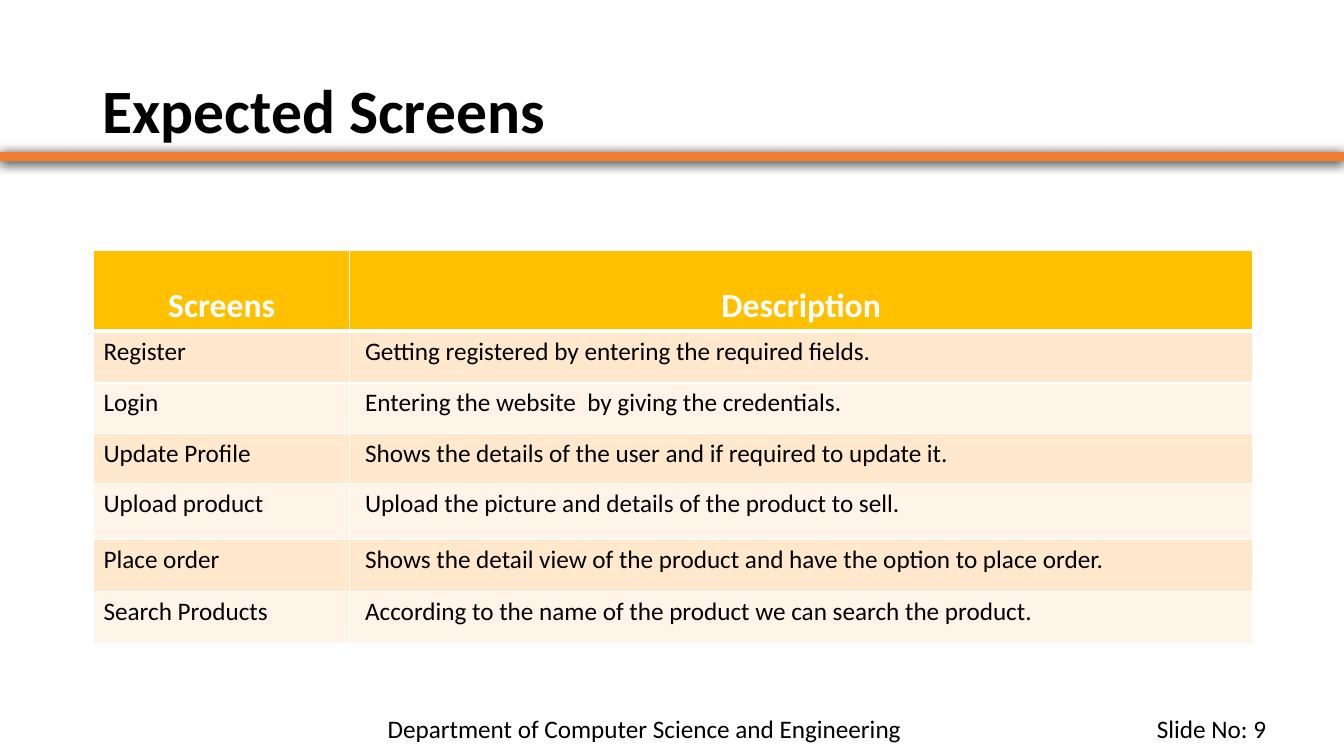
from lxml.etree import SubElement
from pptx import Presentation
from pptx.dml.color import RGBColor
from pptx.enum.shapes import MSO_SHAPE
from pptx.enum.text import MSO_ANCHOR, PP_ALIGN
from pptx.oxml.ns import qn
from pptx.util import Cm, Pt

BLACK = RGBColor(0x00, 0x00, 0x00)
WHITE = RGBColor(0xFF, 0xFF, 0xFF)
ORANGE = RGBColor(0xED, 0x7D, 0x31)
GOLD = RGBColor(0xFF, 0xC0, 0x00)
BANDS = [RGBColor(0xFF, 0xE8, 0xCC), RGBColor(0xFF, 0xF4, 0xE7)]

COL_WIDTHS = [6.45, 22.76]
ROW_HEIGHTS = [2.05, 1.3, 1.27, 1.27, 1.4, 1.32, 1.3]
SCREENS = [
    ("Screens", "Description"),
    ("Register", "Getting registered by entering the required fields."),
    ("Login", "Entering the website  by giving the credentials."),
    ("Update Profile", "Shows the details of the user and if required to update it."),
    ("Upload product", "Upload the picture and details of the product to sell."),
    ("Place order", "Shows the detail view of the product and have the option to place order."),
    ("Search Products", "According to the name of the product we can search the product."),
]


def write(tf, text, size=18, color=BLACK, bold=False, align=PP_ALIGN.LEFT, spacing=1.0):
    tf.word_wrap = True
    p = tf.paragraphs[0]
    p.alignment = align
    p.line_spacing = spacing
    r = p.add_run()
    r.text = text
    r.font.name = "Calibri"
    r.font.size = Pt(size)
    r.font.bold = bold
    r.font.color.rgb = color


def add_title(slide, text):
    sp = slide.shapes.title
    sp.left, sp.top, sp.width, sp.height = Cm(2.33), Cm(1.01), Cm(29.21), Cm(3.68)
    sp.text_frame.vertical_anchor = MSO_ANCHOR.MIDDLE
    write(sp.text_frame, text, size=44, bold=True, spacing=0.9)


def add_rule(slide, width):
    sp = slide.shapes.add_shape(MSO_SHAPE.RECTANGLE, 0, Cm(3.83), width, Cm(0.23))
    sp.fill.solid()
    sp.fill.fore_color.rgb = ORANGE
    sp.line.fill.background()
    sp.shadow.inherit = False
    effects = sp.element.spPr.find(qn("a:effectLst"))
    shadow = SubElement(effects, qn("a:outerShdw"), blurRad=str(Pt(8.5)),
                        dist=str(Pt(1)), dir="5400000", rotWithShape="0")
    SubElement(shadow, qn("a:srgbClr"), val=str(BLACK))


def add_label(slide, text, left, width, align):
    sp = slide.shapes.add_textbox(Cm(left), Cm(17.86), Cm(width), Cm(1.03))
    write(sp.text_frame, text, align=align)


def set_borders(cell, widths):
    tcPr = cell._tc.get_or_add_tcPr()
    for side, width in zip("LRTB", widths):
        ln = SubElement(tcPr, qn(f"a:ln{side}"), w=str(Pt(width)))
        fill = SubElement(ln, qn("a:solidFill"))
        SubElement(fill, qn("a:srgbClr"), val=str(WHITE))


def format_cell(cell, text, row, col):
    header = row == 0
    set_borders(cell, (1, 1, 3 if row == 1 else 1, 3 if header else 1))
    cell.fill.solid()
    cell.fill.fore_color.rgb = GOLD if header else BANDS[(row - 1) % 2]
    if header:
        cell.vertical_anchor = MSO_ANCHOR.BOTTOM
        write(cell.text_frame, text, size=24, color=WHITE, bold=True, align=PP_ALIGN.CENTER)
    else:
        cell.margin_left = Cm(0.39 if col else 0.25)
        write(cell.text_frame, text)


def add_screens_table(slide):
    table = slide.shapes.add_table(len(SCREENS), len(COL_WIDTHS), Cm(2.36), Cm(6.3),
                                   Cm(sum(COL_WIDTHS)), Cm(sum(ROW_HEIGHTS))).table
    for column, width in zip(table.columns, COL_WIDTHS):
        column.width = Cm(width)
    for i, (height, texts) in enumerate(zip(ROW_HEIGHTS, SCREENS)):
        table.rows[i].height = Cm(height)
        for j, text in enumerate(texts):
            format_cell(table.cell(i, j), text, i, j)


def main():
    prs = Presentation()
    prs.slide_width, prs.slide_height = Cm(33.87), Cm(19.05)
    slide = prs.slides.add_slide(prs.slide_layouts[5])
    add_rule(slide, prs.slide_width)
    add_label(slide, "Department of Computer Science and Engineering", 8.24, 16, PP_ALIGN.CENTER)
    add_label(slide, "Slide No: 9", 27.16, 5, PP_ALIGN.RIGHT)
    add_title(slide, "Expected Screens")
    add_screens_table(slide)
    prs.save("out.pptx")


if __name__ == "__main__":
    main()
